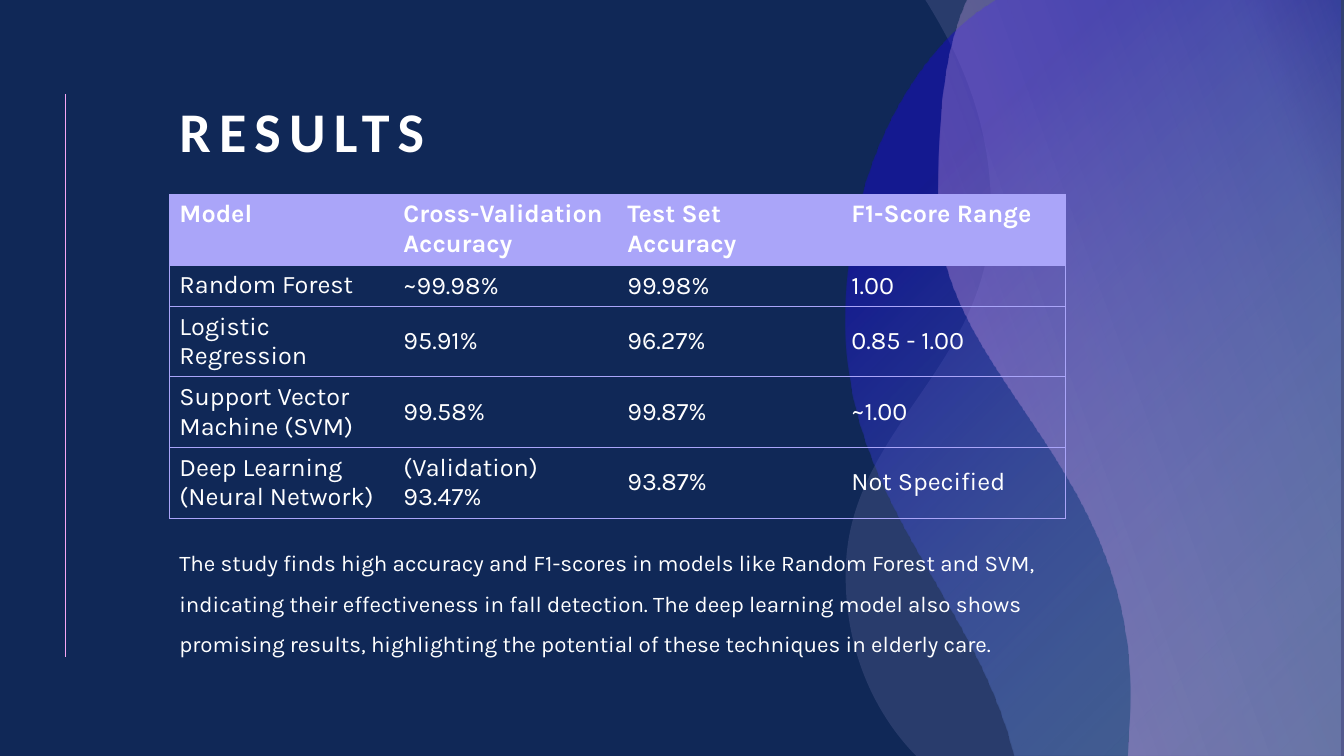
from lxml.etree import SubElement
from pptx import Presentation
from pptx.dml.color import RGBColor
from pptx.enum.shapes import MSO_CONNECTOR
from pptx.enum.text import MSO_ANCHOR
from pptx.oxml import parse_xml
from pptx.oxml.ns import nsdecls, qn
from pptx.util import Pt

WHITE, LILAC = "FFFFFF", "AAA5F9"
PLAIN_TABLE = "{2D5ABB26-0587-4C30-8999-92F81FD0307C}"
ROWS = [
    ["Model", "Cross-Validation Accuracy", "Test Set Accuracy", "F1-Score Range"],
    ["Random Forest", "~99.98%", "99.98%", "1.00"],
    ["Logistic Regression", "95.91%", "96.27%", "0.85 - 1.00"],
    ["Support Vector Machine (SVM)", "99.58%", "99.87%", "~1.00"],
    ["Deep Learning (Neural Network)", "(Validation) 93.47%", "93.87%", "Not Specified"],
]
SUMMARY = (
    "The study finds high accuracy and F1-scores in models like Random Forest and SVM, "
    "indicating their effectiveness in fall detection. The deep learning model also shows "
    "promising results, highlighting the potential of these techniques in elderly care."
)
RADIAL = ('<a:path path="circle"><a:fillToRect l="100000" t="100000" r="0" b="0"/>'
          '</a:path>')
LINEAR = '<a:lin ang="20400000" scaled="0"/>'
WAVES = [
    {
        "corners": [(57, 0), (356, 0), (356, 540), (50.5, 540), (49.8, 539.3)],
        "curves": [(22.4, 511.2), (-0.6, 466.6), (0.1, 409),
                   (0.8, 307.4), (101.6, 263.5), (103.8, 154.8),
                   (105.2, 87.1), (80, 37.4), (58.4, 2.2)],
        "stops": [(0, "C3B9F2", 14)],
        "direction": "",
    },
    {
        "corners": [(107.4, 0), (353.6, 0), (353.6, 540), (120.3, 540), (116.7, 526.3)],
        "curves": [(84.3, 419.8), (0.8, 354.2), (0.1, 231.8),
                   (-0.6, 118.8), (50.5, 39.6), (96.6, 7.2)],
        "stops": [(4, "92CDF0", 24), (79, "180DC2", 52)],
        "direction": RADIAL,
    },
    {
        "corners": [(86.5, 0), (356, 0), (356, 540), (201, 540), (202.4, 519.1)],
        "curves": [(203.1, 509.8), (203.1, 500.4), (203.1, 490.3),
                   (200.2, 329.8), (67, 265), (66.3, 150.5),
                   (65.6, 76.3), (71.4, 42.5), (81.4, 13)],
        "stops": [(1, "F6A6F4", 38), (84, "C3B9F2", 20), (100, "F6A6F4", 3)],
        "direction": LINEAR,
    },
]


def rgb(color):
    return RGBColor.from_string(color)


def bend_outline(shape, corner_count):
    segments = list(shape._element.iter(qn("a:lnTo")))[corner_count - 1:]
    for start in range(0, len(segments) // 3 * 3, 3):
        triple = segments[start:start + 3]
        curve = parse_xml(f'<a:cubicBezTo {nsdecls("a")}/>')
        triple[0].addprevious(curve)
        for segment in triple:
            curve.append(segment[0])
            segment.getparent().remove(segment)


def fill_wave(shape, stops, direction):
    colors = [
        f'<a:srgbClr val="{color}"><a:alpha val="{alpha * 1000}"/></a:srgbClr>'
        for _, color, alpha in stops
    ]
    if direction:
        marks = "".join(f'<a:gs pos="{stop[0] * 1000}">{color}</a:gs>'
                        for stop, color in zip(stops, colors))
        xml = (f'<a:gradFill {nsdecls("a")} rotWithShape="1"><a:gsLst>{marks}</a:gsLst>'
               f'{direction}</a:gradFill>')
    else:
        xml = f'<a:solidFill {nsdecls("a")}>{colors[0]}</a:solidFill>'
    shape._element.spPr.find(qn("a:custGeom")).addnext(parse_xml(xml))


def add_waves(slide, left, top):
    for wave in WAVES:
        points = [(Pt(left + x), Pt(top + y)) for x, y in wave["corners"] + wave["curves"]]
        builder = slide.shapes.build_freeform(*points[0])
        builder.add_line_segments(points[1:], close=True)
        shape = builder.convert_to_shape()
        shape.shadow.inherit = False
        shape.line.fill.background()
        bend_outline(shape, len(wave["corners"]))
        fill_wave(shape, wave["stops"], wave["direction"])


def add_side_rule(slide, x, top, bottom):
    rule = slide.shapes.add_connector(MSO_CONNECTOR.STRAIGHT, Pt(x), Pt(top), Pt(x), Pt(bottom))
    rule.line.color.rgb = rgb("F6A6F4")
    rule.line.width = Pt(0.5)
    SubElement(rule._element.spPr, qn("a:effectLst"))


def write(text_frame, text, font_format, paragraph_format):
    paragraph = text_frame.paragraphs[0]
    run = paragraph.add_run()
    run.text = text
    run.font.color.rgb = rgb(WHITE)
    for target, values in ((run.font, font_format), (paragraph, paragraph_format)):
        for name, value in values.items():
            setattr(target, name, value)
    return run


def add_text(slide, box, text, font_format, paragraph_format, anchor):
    text_frame = slide.shapes.add_textbox(*map(Pt, box)).text_frame
    text_frame.word_wrap = True
    text_frame.vertical_anchor = anchor
    return write(text_frame, text, font_format, paragraph_format)


def set_borders(cell, sides):
    properties = cell._tc.get_or_add_tcPr()
    for index, side in enumerate(sides):
        properties.insert(index, parse_xml(
            f'<a:{side} {nsdecls("a")} w="6350"><a:solidFill>'
            f'<a:srgbClr val="{LILAC}"/></a:solidFill></a:{side}>'))


def add_results_table(slide, left, top, width, height):
    columns = len(ROWS[0])
    frame = slide.shapes.add_table(len(ROWS), columns, Pt(left), Pt(top),
                                   Pt(width), Pt(height))
    table = frame.table
    table.horz_banding = False
    table._tbl.tblPr.find(qn("a:tableStyleId")).text = PLAIN_TABLE
    for column in table.columns:
        column.width = Pt(width / columns)
    for r, values in enumerate(ROWS):
        table.rows[r].height = Pt(29.2 if r else 0)
        for c, value in enumerate(values):
            cell = table.cell(r, c)
            if r == 0:
                cell.fill.solid()
                cell.fill.fore_color.rgb = rgb(LILAC)
            else:
                cell.fill.background()
            at_top = r == 0 or (r, c) == (1, 0)
            cell.vertical_anchor = MSO_ANCHOR.TOP if at_top else MSO_ANCHOR.MIDDLE
            write(cell.text_frame, value,
                  {"name": "Karla", "size": Pt(18), "bold": r == 0}, {})
            sides = ["lnL"] * (c == 0) + ["lnR"] * (c == columns - 1) + ["lnT", "lnB"]
            set_borders(cell, sides)
    frame.height = Pt(height)


def add_results_slide(presentation):
    slide = presentation.slides.add_slide(presentation.slide_layouts[6])
    slide.background.fill.solid()
    slide.background.fill.fore_color.rgb = rgb("102857")
    add_side_rule(slide, 46.8, 67, 469.4)
    add_waves(slide, 604, 0)
    title = add_text(slide, (121, 36.7, 699, 84.2), "RESULTS",
                     {"name": "Calibri", "size": Pt(40), "bold": True},
                     {"line_spacing": 0.9}, MSO_ANCHOR.BOTTOM)
    title._r.get_or_add_rPr().set("spc", "600")
    add_text(slide, (121, 379.4, 630.7, 144.7), SUMMARY,
             {"name": "Karla", "size": Pt(16)},
             {"line_spacing": 1.5, "space_before": Pt(10)}, MSO_ANCHOR.TOP)
    add_results_table(slide, 121, 139, 640, 209.5)


def main():
    presentation = Presentation()
    presentation.slide_width, presentation.slide_height = Pt(960), Pt(540)
    add_results_slide(presentation)
    presentation.save("out.pptx")


if __name__ == "__main__":
    main()
